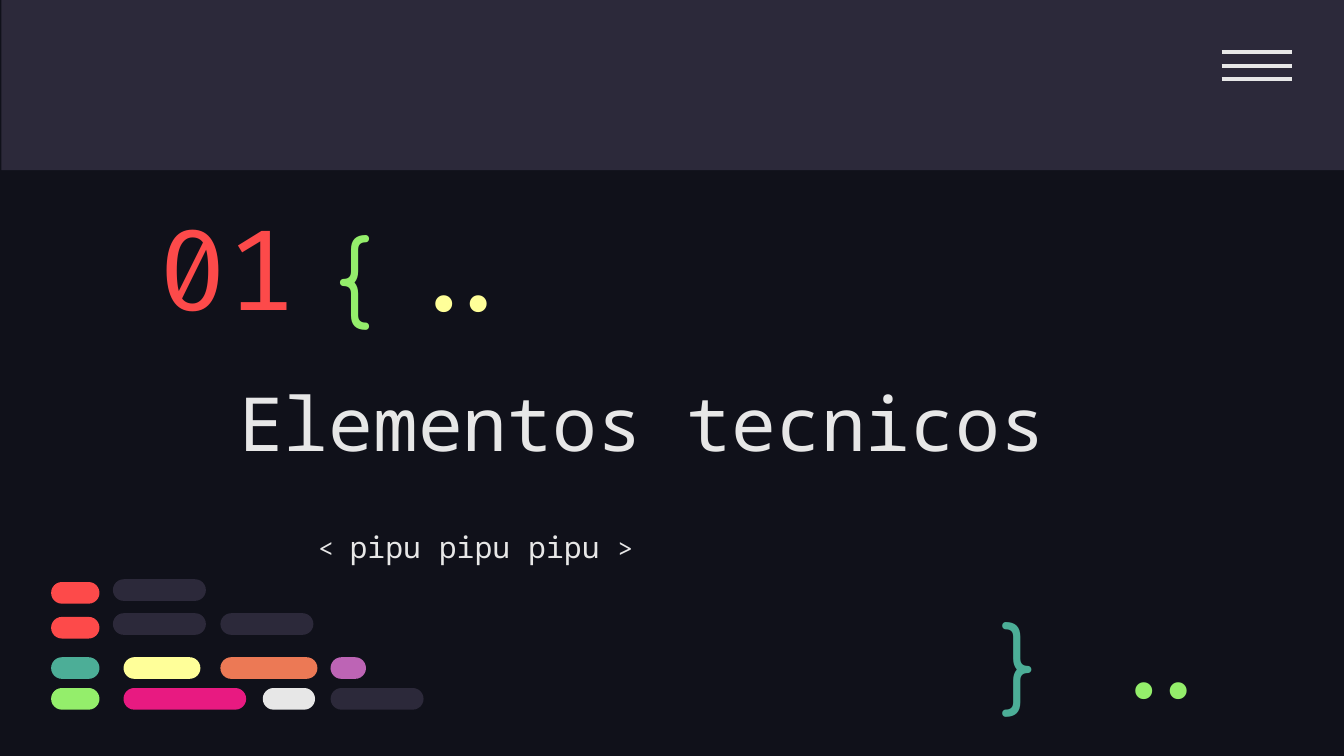
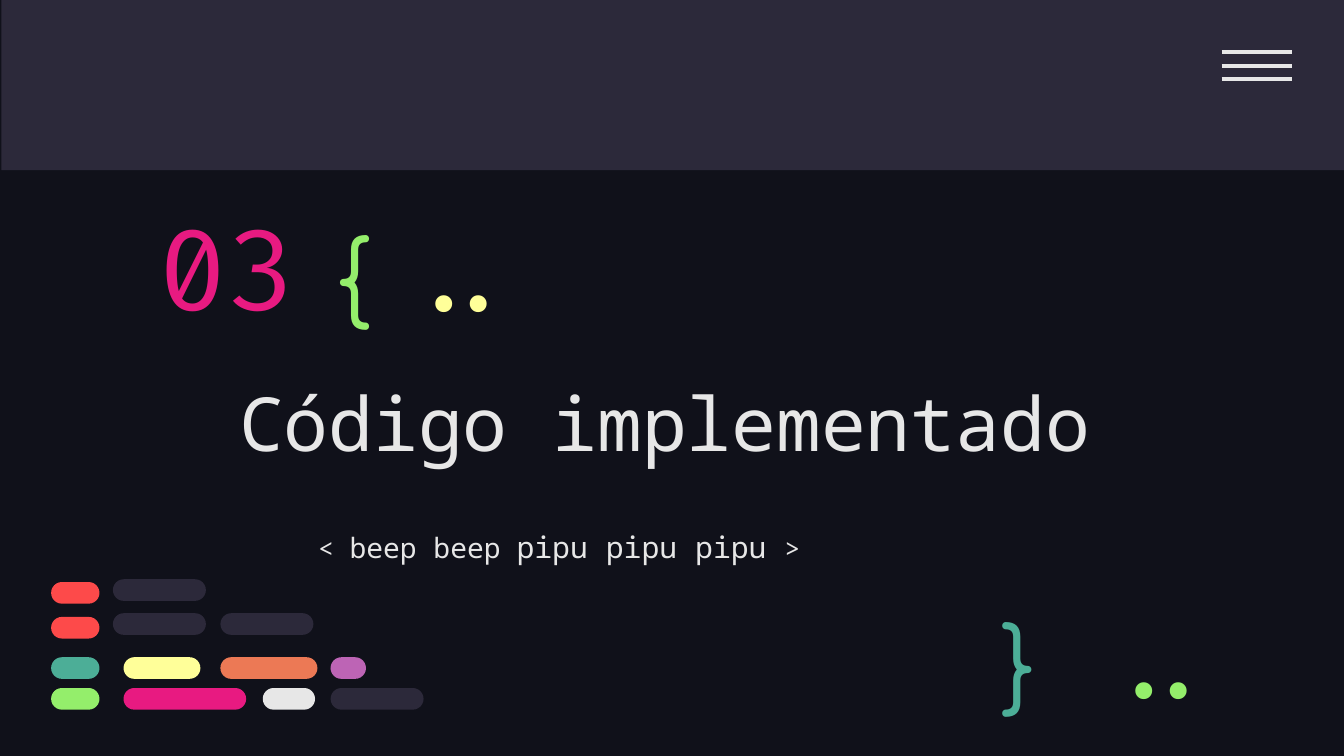
from lxml import etree
from pptx import Presentation
from pptx.dml.color import RGBColor
from pptx.enum import shapes, text
from pptx.oxml.ns import qn
from pptx.util import Pt

NIGHT, SLATE, WHITE = "10111A", "2C293A", "E7E7E7"
RED, PINK, GREEN, TEAL = "FD4A4A", "E81A81", "94EE6B", "4CAE97"
YELLOW, ORANGE, PURPLE = "FFFF99", "EC7955", "BD64B5"
MONO, CODE, ROUND = "Noto Sans Mono", "Fira Code", "Comfortaa"

PILL_HEIGHT = 11.6
PILL_ROWS = [
    (311.8, [(27.4, 25.9, RED)]),
    (330.5, [(27.4, 25.9, RED)]),
    (352.1, [(27.4, 25.9, TEAL), (66.2, 41.2, YELLOW),
             (118.1, 52, ORANGE), (177.1, 19, PURPLE)]),
    (368.6, [(27.4, 25.9, GREEN), (66.2, 65.7, PINK),
             (140.8, 28, WHITE), (177.1, 49.8, SLATE)]),
    (310.3, [(60.5, 49.8, SLATE)]),
    (328.5, [(60.5, 49.8, SLATE), (118.1, 49.8, SLATE)]),
]

SECTIONS = [
    ("01", RED, "Elementos tecnicos",
     [("< ", 14), ("pipu pipu pipu ", 16), (">", 14)]),
    ("03", PINK, "Código implementado",
     [("< ", 14), ("beep beep", 15), (" ", 14), ("pipu pipu pipu ", 16), (">", 14)]),
]


def paint(color_format, color):
    """Apply a hex colour to a fill, line fill or font colour."""
    color_format.rgb = RGBColor.from_string(color)


def add_block(slide, kind, box, color):
    """Add a flat filled shape without outline."""
    block = slide.shapes.add_shape(kind, *map(Pt, box))
    block.shadow.inherit = False
    block.fill.solid()
    paint(block.fill.fore_color, color)
    block.line.fill.background()
    return block


def add_text(slide, box, runs, font, color, middle=False, right=False, spacing=1):
    """Add one line of text given as (wording, size) runs."""
    label = slide.shapes.add_textbox(*map(Pt, box))
    frame = label.text_frame
    frame.word_wrap = True
    frame.margin_left = frame.margin_right = Pt(7.2)
    frame.margin_top = frame.margin_bottom = Pt(7.2)
    frame.vertical_anchor = text.MSO_ANCHOR.MIDDLE if middle else text.MSO_ANCHOR.TOP
    line = frame.paragraphs[0]
    line.alignment = text.PP_ALIGN.RIGHT if right else text.PP_ALIGN.LEFT
    line.line_spacing = spacing
    for wording, size in runs:
        run = line.add_run()
        run.text = wording
        run.font.name = font
        run.font.size = Pt(size)
        paint(run.font.color, color)


def add_header(slide):
    """Add the top band with its three-bar menu."""
    add_block(slide, shapes.MSO_SHAPE.RECTANGLE, (0.7, 0, 720, 91.2), SLATE)
    for row in range(3):
        y = Pt(28 + 7.2 * row)
        bar = slide.shapes.add_connector(
            shapes.MSO_CONNECTOR.STRAIGHT, Pt(654.5), y, Pt(692), y)
        bar.line.width = Pt(2.25)
        paint(bar.line.color, WHITE)
        etree.SubElement(bar._element.spPr, qn("a:effectLst"))


def add_brackets(slide):
    """Add the braces and the dots beside them."""
    add_text(slide, (172.8, 108, 55.4, 68.4), [("{", 50)], ROUND, GREEN)
    add_text(slide, (529.2, 315.4, 41, 59.8), [("}", 50)], ROUND, TEAL)
    for left, top, color in [(583.2, 332.6, GREEN), (208.1, 125.3, YELLOW)]:
        add_text(slide, (left, top, 77, 43.2), [("..", 50)], CODE, color,
                 middle=True, right=True)


def add_code_pills(slide):
    """Add the rows of rounded bars that suggest lines of code."""
    for top, pills in PILL_ROWS:
        for left, width, color in pills:
            pill = add_block(slide, shapes.MSO_SHAPE.ROUNDED_RECTANGLE,
                             (left, top, width, PILL_HEIGHT), color)
            pill.adjustments[0] = 0.5


def add_section(deck, number, accent, title, tagline):
    """Add one section opener slide."""
    slide = deck.slides.add_slide(deck.slide_layouts[6])
    slide.background.fill.solid()
    paint(slide.background.fill.fore_color, NIGHT)
    add_header(slide)
    add_text(slide, (121, 178.6, 522.7, 94.3), [(title, 40)], MONO, WHITE, middle=True)
    add_text(slide, (77.8, 106.6, 130.3, 72), [(number, 60)], CODE, accent, middle=True)
    add_text(slide, (163.4, 272.9, 476, 22.3), tagline, MONO, WHITE, spacing=1.15)
    add_brackets(slide)
    add_code_pills(slide)


def main():
    """Build and save the section openers."""
    deck = Presentation()
    deck.slide_width, deck.slide_height = Pt(720), Pt(405)
    for section in SECTIONS:
        add_section(deck, *section)
    deck.save("out.pptx")


if __name__ == "__main__":
    main()
